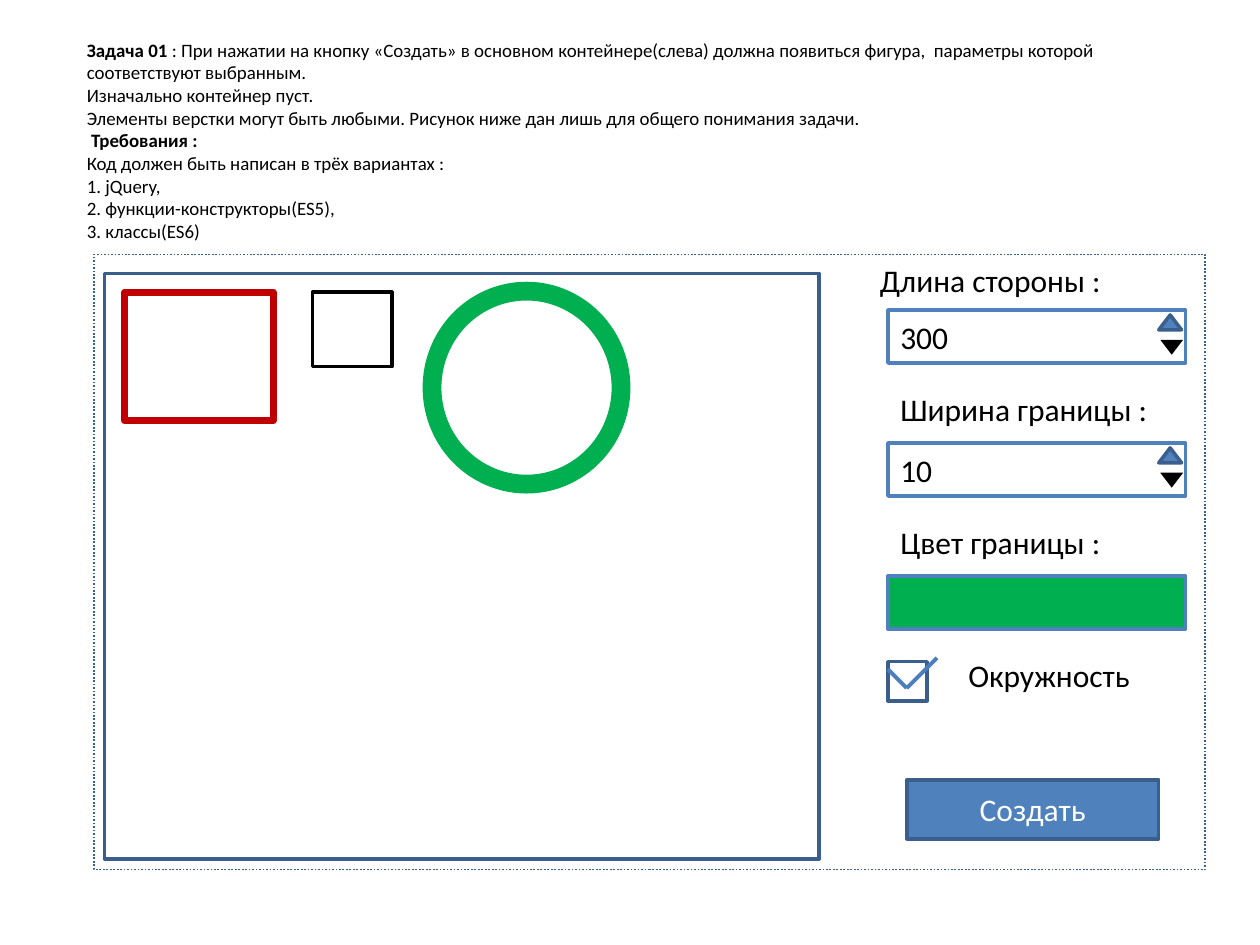
from dataclasses import dataclass
from itertools import pairwise

from lxml.etree import SubElement
from pptx import Presentation
from pptx.dml.color import RGBColor
from pptx.enum.dml import MSO_LINE
from pptx.enum.shapes import MSO_CONNECTOR, MSO_SHAPE
from pptx.enum.text import MSO_ANCHOR, PP_ALIGN
from pptx.oxml.ns import qn
from pptx.util import Cm, Pt


@dataclass(frozen=True)
class Theme:
    """Colours, font and type sizes of the slide."""
    font: str = "Calibri"
    task_size: float = 10.8
    form_size: float = 18
    ink: str = "000000"
    paper: str = "FFFFFF"
    accent: str = "4F81BD"
    edge: str = "3A5F8C"
    tick: str = "4B7EBC"
    red: str = "C00000"
    green: str = "00B050"


@dataclass(frozen=True)
class Box:
    """A rectangle in centimetres."""
    left: float
    top: float
    width: float
    height: float

    def inner(self, left, top, width, height):
        """Return a box placed relative to this one."""
        return Box(self.left + left, self.top + top, width, height)

    def lengths(self):
        """Return the four lengths for python-pptx."""
        return [Cm(value) for value in (self.left, self.top, self.width, self.height)]


THEME = Theme()
TASK = [
    [("Задача 01 ", True),
     (": При нажатии на кнопку «Создать» в основном контейнере(слева) должна "
      "появиться фигура,  параметры которой соответствуют выбранным.", False)],
    [("Изначально контейнер пуст.", False)],
    [("Элементы верстки могут быть любыми. Рисунок ниже дан лишь для общего "
      "понимания задачи.", False)],
    [(" Требования :", True)],
    [("Код должен быть написан в трёх вариантах :", False)],
    [("1. jQuery,", False)],
    [("2. функции-конструкторы(ES5),", False)],
    [("3. классы(ES6)", False)],
]
FIELDS = [
    ("Длина стороны :", -0.41, -1.12, 5.03, "300", THEME.paper),
    ("Ширина границы :", 0, -1.2, 5.56, "10", THEME.paper),
    ("Цвет границы :", 0, -1.2, 4.6, "", THEME.green),
]


def apply(target, formats):
    """Set the attributes of an object from a dict."""
    for name, value in formats.items():
        setattr(target, name, value)


def add_span(para, text, size, color, bold=False):
    """Add a formatted run to a paragraph."""
    span = para.add_run()
    span.text = text
    apply(span.font, {"name": THEME.font, "size": Pt(size), "bold": bold})
    span.font.color.rgb = RGBColor.from_string(color)


def add_figure(page, kind, box, line=None, weight=2, fill=None):
    """Add a preset shape with the given outline and fill."""
    figure = page.shapes.add_shape(kind, *box.lengths())
    figure.shadow.inherit = False
    for paint, color in ((figure.fill, fill), (figure.line.fill, line)):
        if color:
            paint.solid()
            paint.fore_color.rgb = RGBColor.from_string(color)
        else:
            paint.background()
    if line:
        figure.line.width = Pt(weight)
    return figure


def write_inside(figure, text, color, align):
    """Write one line of form text inside a shape."""
    figure.text_frame.vertical_anchor = MSO_ANCHOR.MIDDLE
    para = figure.text_frame.paragraphs[0]
    para.alignment = align
    add_span(para, text, THEME.form_size, color)


def add_label(page, box, text):
    """Add a form label that stays on one line."""
    frame = page.shapes.add_textbox(*box.lengths()).text_frame
    frame.word_wrap = False
    add_span(frame.paragraphs[0], text, THEME.form_size, THEME.ink)


def add_task(page, box):
    """Add the task statement."""
    frame = page.shapes.add_textbox(*box.lengths()).text_frame
    apply(frame, {"word_wrap": True, "vertical_anchor": MSO_ANCHOR.MIDDLE})
    for index, spans in enumerate(TASK):
        para = frame.add_paragraph() if index else frame.paragraphs[0]
        for text, bold in spans:
            add_span(para, text, THEME.task_size, THEME.ink, bold)


def add_container(page, box):
    """Add the main container with its sample figures."""
    add_figure(page, MSO_SHAPE.RECTANGLE, box, THEME.edge)
    samples = [
        (MSO_SHAPE.RECTANGLE, (0.4, 0.38, 3, 2.59), THEME.red, 4),
        (MSO_SHAPE.RECTANGLE, (4.19, 0.38, 1.6, 1.5), THEME.ink, 2),
        (MSO_SHAPE.OVAL, (6.6, 0.36, 3.81, 3.89), THEME.green, 10.75),
    ]
    for kind, place, color, weight in samples:
        add_figure(page, kind, box.inner(*place), color, weight)


def add_stepper(page, box):
    """Add the up and down arrows of a number field."""
    kind = MSO_SHAPE.ISOSCELES_TRIANGLE
    add_figure(page, kind, box.inner(5.46, 0.1, 0.46, 0.3), THEME.edge, 2, THEME.accent)
    down = add_figure(page, kind, box.inner(5.49, 0.6, 0.46, 0.3), fill=THEME.ink)
    down.rotation = 180


def add_field(page, box, field):
    """Add a labelled field, with a stepper if it holds a number."""
    label, left, top, width, value, fill = field
    add_label(page, box.inner(left, top, width, 1.02), label)
    entry = add_figure(page, MSO_SHAPE.RECTANGLE, box, THEME.accent, 2, fill)
    if value:
        write_inside(entry, value, THEME.ink, PP_ALIGN.LEFT)
        add_stepper(page, box)


def add_checkbox(page, box):
    """Add the ticked circle option."""
    add_figure(page, MSO_SHAPE.RECTANGLE, box.inner(0, 0, 0.79, 0.79), THEME.edge)
    add_label(page, box.inner(1.37, -0.23, 3.81, 1.02), "Окружность")
    corners = [(box.left + x, box.top + y)
               for x, y in ((0, 0.15), (0.38, 0.53), (0.99, -0.08))]
    for start, end in pairwise(corners):
        stroke = page.shapes.add_connector(
            MSO_CONNECTOR.STRAIGHT, *[Cm(value) for value in start + end])
        stroke.line.color.rgb = RGBColor.from_string(THEME.tick)
        stroke.line.width = Pt(2.25)
        SubElement(stroke._element.spPr, qn("a:effectLst"))


def add_form(page, box):
    """Add the panel of figure parameters."""
    for row, field in enumerate(FIELDS):
        add_field(page, box.inner(0, 1.12 + 2.68 * row, box.width, 1.07), field)
    add_checkbox(page, box.inner(0, 8.21, box.width, 0.79))
    button = add_figure(page, MSO_SHAPE.RECTANGLE, box.inner(0.38, 10.59, 5.08, 1.19),
                        THEME.edge, 2, THEME.accent)
    write_inside(button, "Создать", THEME.paper, PP_ALIGN.CENTER)


def add_mockup(page, box):
    """Add the dotted frame with the container and the form."""
    frame = add_figure(page, MSO_SHAPE.RECTANGLE, box, THEME.edge, 1)
    frame.line.dash_style = MSO_LINE.ROUND_DOT
    add_container(page, box.inner(0.21, 0.38, 14.4, 11.81))
    add_form(page, box.inner(16, 0, 6, 12.4))


def main():
    """Build and save the deck."""
    deck = Presentation()
    apply(deck, {"slide_width": Cm(25.4), "slide_height": Cm(19.05)})
    page = deck.slides.add_slide(deck.slide_layouts[6])
    add_task(page, Box(1.5, 0.53, 23.19, 4.6))
    add_mockup(page, Box(1.9, 5.13, 22.4, 12.4))
    deck.save("out.pptx")


if __name__ == "__main__":
    main()
